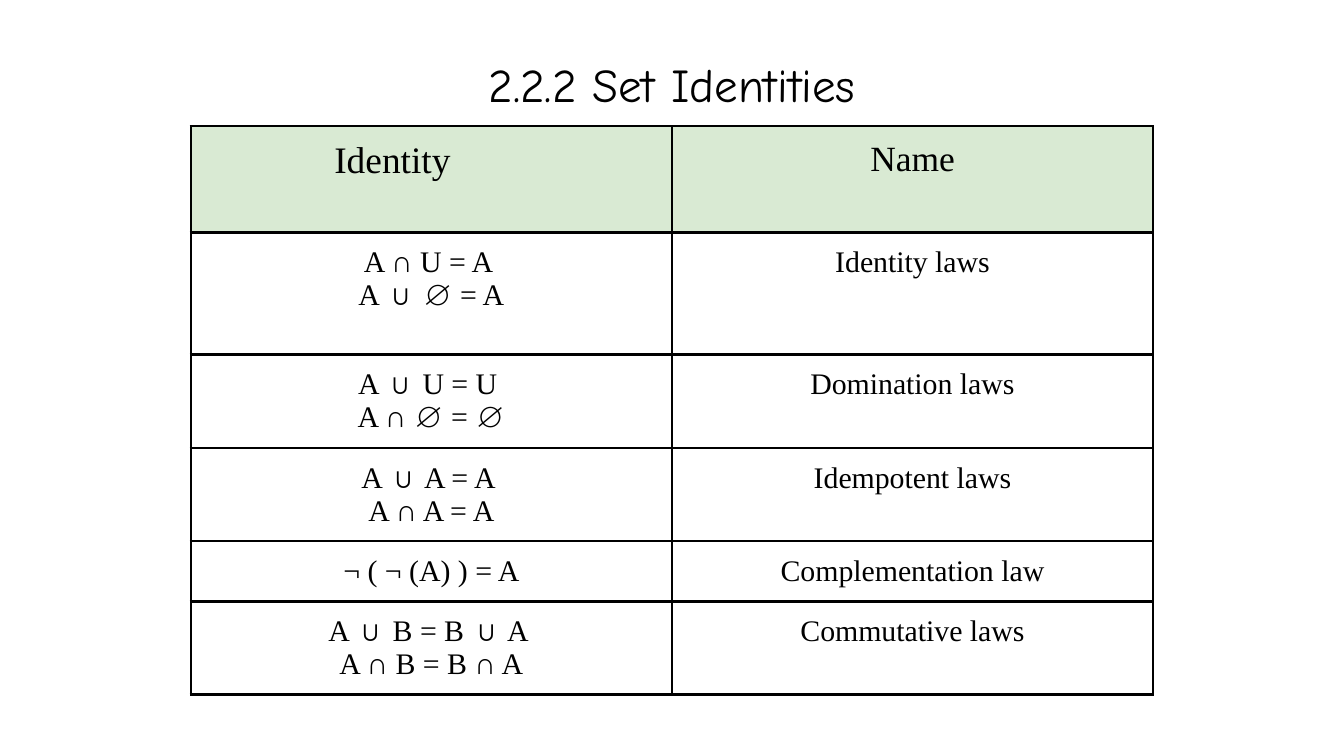
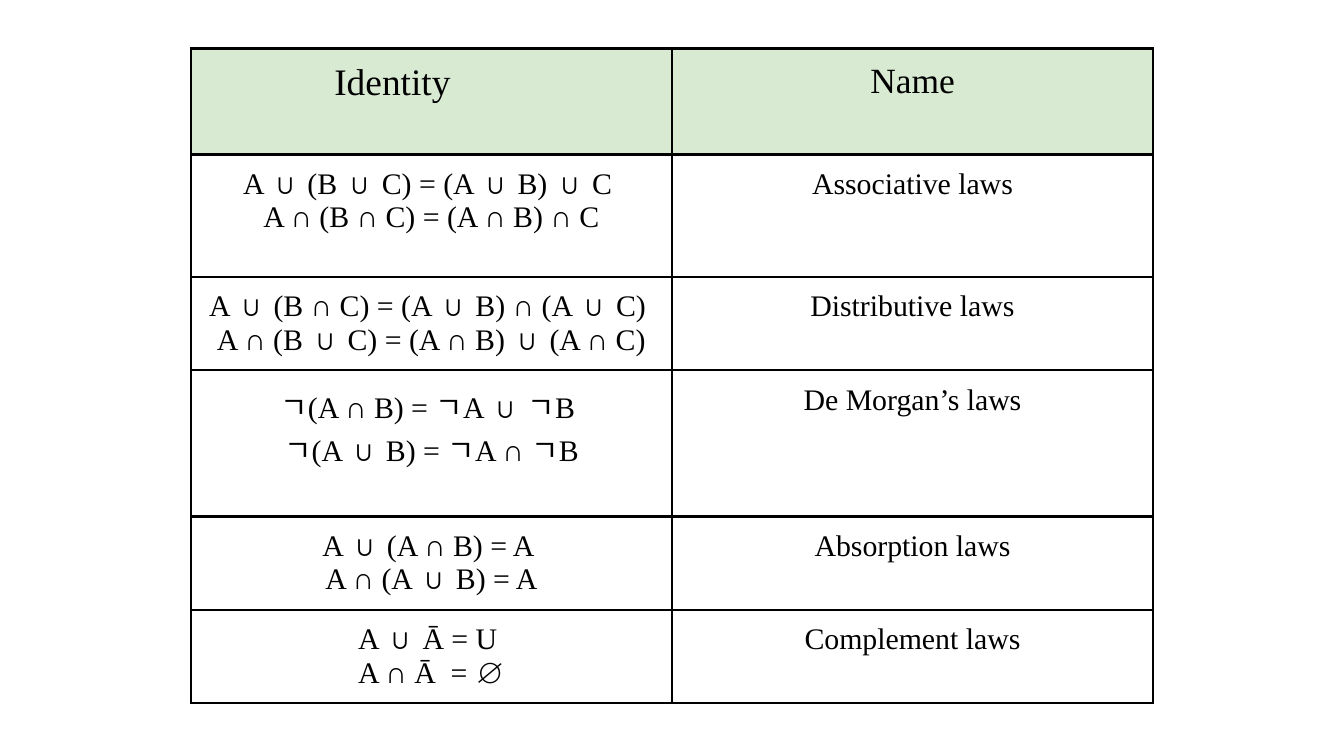
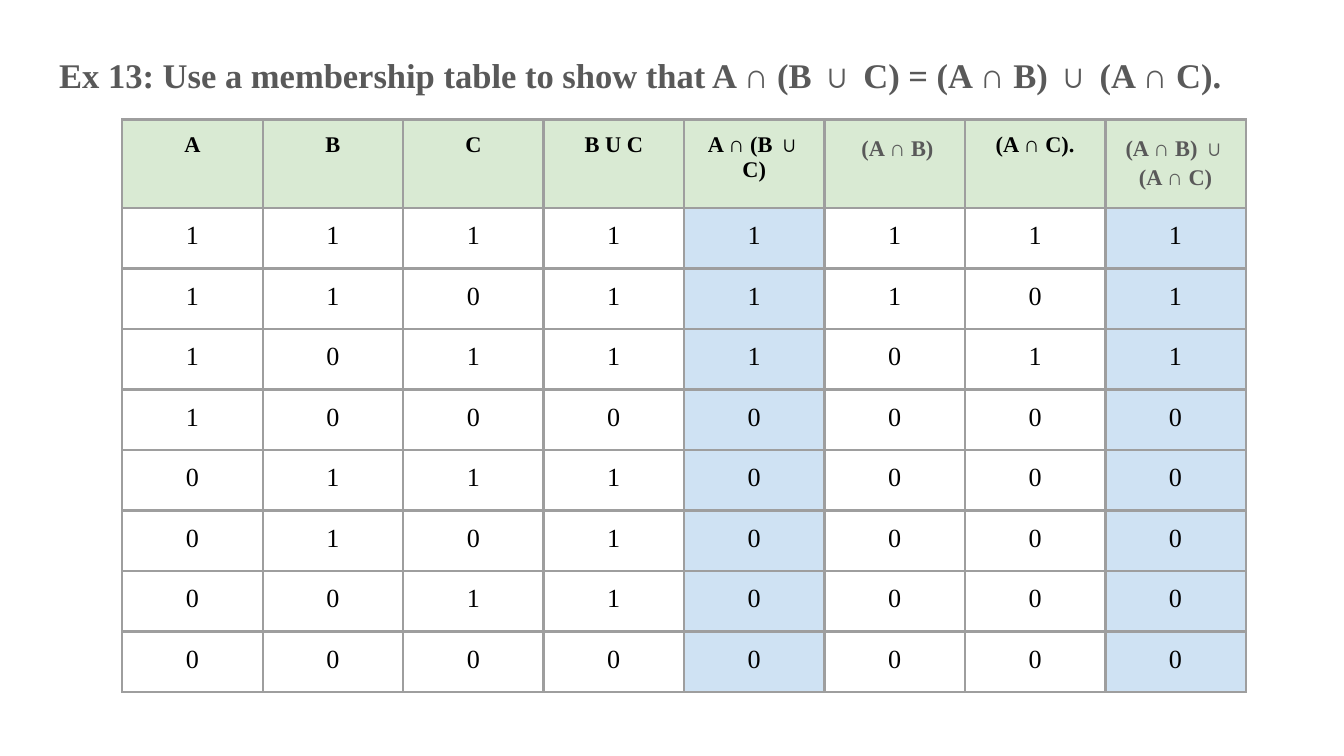
"""Build three slides on set identities and a membership table."""
import itertools

import lxml.etree
import pptx
import pptx.dml.color
import pptx.enum.text
import pptx.oxml.ns
import pptx.util

COLORS = {
    "black": "000000",
    "gray": "595959",
    "rule": "9E9E9E",
    "header": "D9EAD3",
    "result": "CFE2F3",
}
TITLE_FONT = "Comic Neue"
BODY_FONT = "Times New Roman"
CENTER = pptx.enum.text.PP_ALIGN.CENTER
LEFT = pptx.enum.text.PP_ALIGN.LEFT
MARGIN = pptx.util.Inches(0.1)

presentation = pptx.Presentation()
presentation.slide_width = pptx.util.Inches(10)
presentation.slide_height = pptx.util.Inches(5.625)
WIDTH = presentation.slide_width
HEIGHT = presentation.slide_height
TITLE_LAYOUT = presentation.slide_layouts[5]
BLANK_LAYOUT = presentation.slide_layouts[6]


def write_text(frame, lines, size, color="black", font=BODY_FONT, bold=False, align=CENTER, loose=False):
    """Fill a text frame with equally formatted paragraphs."""
    frame.text = "\n".join(lines)
    for paragraph in frame.paragraphs:
        paragraph.alignment = align
        paragraph.font.name = font
        paragraph.font.size = pptx.util.Pt(size)
        paragraph.font.bold = bold
        paragraph.font.color.rgb = pptx.dml.color.RGBColor.from_string(COLORS[color])
        if loose:
            paragraph.line_spacing = 1.15
            paragraph.space_after = pptx.util.Pt(12)


def add_grid(slide, left, top, width, row_heights, column_count, border, fill_name):
    """Add a ruled table whose cells are filled as fill_name(row, column) says."""
    heights = [pptx.util.Inches(height) for height in row_heights]
    shape = slide.shapes.add_table(len(heights), column_count, int(left), int(top), int(width), sum(heights))
    table = shape.table
    table.first_row = table.horz_banding = False
    for row, height in zip(table.rows, heights):
        row.height = height
    for column in table.columns:
        column.width = int(width / column_count)
    for row, column in itertools.product(range(len(heights)), range(column_count)):
        cell = table.cell(row, column)
        cell.margin_left = cell.margin_right = cell.margin_top = cell.margin_bottom = MARGIN
        properties = cell._tc.get_or_add_tcPr()
        for side in ("lnL", "lnR", "lnT", "lnB"):
            line = lxml.etree.SubElement(
                properties, pptx.oxml.ns.qn(f"a:{side}"), w=str(pptx.util.Pt(1.5)))
            solid = lxml.etree.SubElement(line, pptx.oxml.ns.qn("a:solidFill"))
            lxml.etree.SubElement(solid, pptx.oxml.ns.qn("a:srgbClr"), val=COLORS[border])
        name = fill_name(row, column)
        if name:
            cell.fill.solid()
            cell.fill.fore_color.rgb = pptx.dml.color.RGBColor.from_string(COLORS[name])
        else:
            cell.fill.background()
    return table


identity_slides = [
    {
        "title": "2.2.2 Set Identities",
        "top": 0.167,
        "row_heights": [0.79, 0.91, 0.69, 0.69, 0.44, 0.69],
        "laws": [
            (["A ∩ U = A ", "A ∪ ∅ = A"], "Identity laws"),
            (["A ∪ U = U ", "A ∩ ∅ = ∅"], "Domination laws"),
            (["A ∪ A = A ", "A ∩ A = A"], "Idempotent laws"),
            (["¬ ( ¬ (A) ) = A"], "Complementation law"),
            (["A ∪ B = B ∪ A ", "A ∩ B = B ∩ A"], "Commutative laws"),
        ],
    },
    {
        "title": None,
        "top": 0.064,
        "row_heights": [0.79, 0.91, 0.69, 1.09, 0.69, 0.69],
        "laws": [
            (["A ∪ (B ∪ C) = (A ∪ B) ∪ C ", "A ∩ (B ∩ C) = (A ∩ B) ∩ C"], "Associative laws"),
            (["A ∪ (B ∩ C) = (A ∪ B) ∩ (A ∪ C) ", "A ∩ (B ∪ C) = (A ∩ B) ∪ (A ∩ C)"], "Distributive laws"),
            (["ㄱ(A ∩ B) = ㄱA ∪ ㄱB ", "ㄱ(A ∪ B) = ㄱA ∩ ㄱB"], "De Morgan’s laws"),
            (["A ∪ (A ∩ B) = A ", "A ∩ (A ∪ B) = A"], "Absorption laws"),
            (["A ∪ Ā = U ", "A ∩ Ā  = ∅"], "Complement laws"),
        ],
    },
]

titles = []
for content in identity_slides:
    slide = presentation.slides.add_slide(TITLE_LAYOUT if content["title"] else BLANK_LAYOUT)
    if content["title"]:
        titles.append((slide, 0.055, content["title"],
                       {"size": 25.2, "font": TITLE_FONT}))
    table = add_grid(slide, WIDTH * 0.142, HEIGHT * content["top"], WIDTH * 0.716,
                     content["row_heights"], 2, "black",
                     lambda row, column: "header" if row == 0 else None)
    write_text(table.cell(0, 0).text_frame, ["Identity"], 20)
    table.cell(0, 0).margin_right = pptx.util.Inches(0.68)
    write_text(table.cell(0, 1).text_frame, ["Name"], 19)
    for row, (formulas, law_name) in enumerate(content["laws"], start=1):
        write_text(table.cell(row, 0).text_frame, formulas, 16)
        write_text(table.cell(row, 1).text_frame, [law_name], 16)

membership_slide = presentation.slides.add_slide(TITLE_LAYOUT)
titles.append((membership_slide, 0.046,
               "Ex 13: Use a membership table to show that A ∩ (B ∪ C) = (A ∩ B) ∪ (A ∩ C).",
               {"size": 18.5, "color": "gray", "bold": True, "align": LEFT, "loose": True}))
headings = ["A", "B", "C", "B U C", "A ∩ (B ∪ C)", " (A ∩ B)", "(A ∩ C).", "(A ∩ B) ∪ (A ∩ C)"]
result_columns = (4, 7)
gray_columns = (5, 7)
membership = add_grid(
    membership_slide, WIDTH * 0.091, HEIGHT * 0.158, WIDTH * 0.836,
    [0.66] + [0.45] * 8, len(headings), "rule",
    lambda row, column: "header" if row == 0 else "result" if column in result_columns else None)
for column, heading in enumerate(headings):
    is_gray = column in gray_columns
    write_text(membership.cell(0, column).text_frame, [heading], 12,
               color="gray" if is_gray else "black", bold=True, loose=is_gray)
for row, (a, b, c) in enumerate(itertools.product((1, 0), repeat=3), start=1):
    values = [a, b, c, b | c, a & (b | c), a & b, a & c, (a & b) | (a & c)]
    for column, value in enumerate(values):
        write_text(membership.cell(row, column).text_frame, [str(value)], 14)

for slide, top, text, style in titles:
    title = slide.shapes.title
    title.left, title.top = int(WIDTH * 0.034), int(HEIGHT * top)
    title.width, title.height = int(WIDTH * 0.932), int(HEIGHT * 0.112)
    frame = title.text_frame
    frame.word_wrap = True
    frame.auto_size = pptx.enum.text.MSO_AUTO_SIZE.NONE
    frame.vertical_anchor = pptx.enum.text.MSO_ANCHOR.TOP
    frame.margin_left = frame.margin_right = frame.margin_top = frame.margin_bottom = MARGIN
    write_text(frame, [text], **style)

presentation.save("out.pptx")
